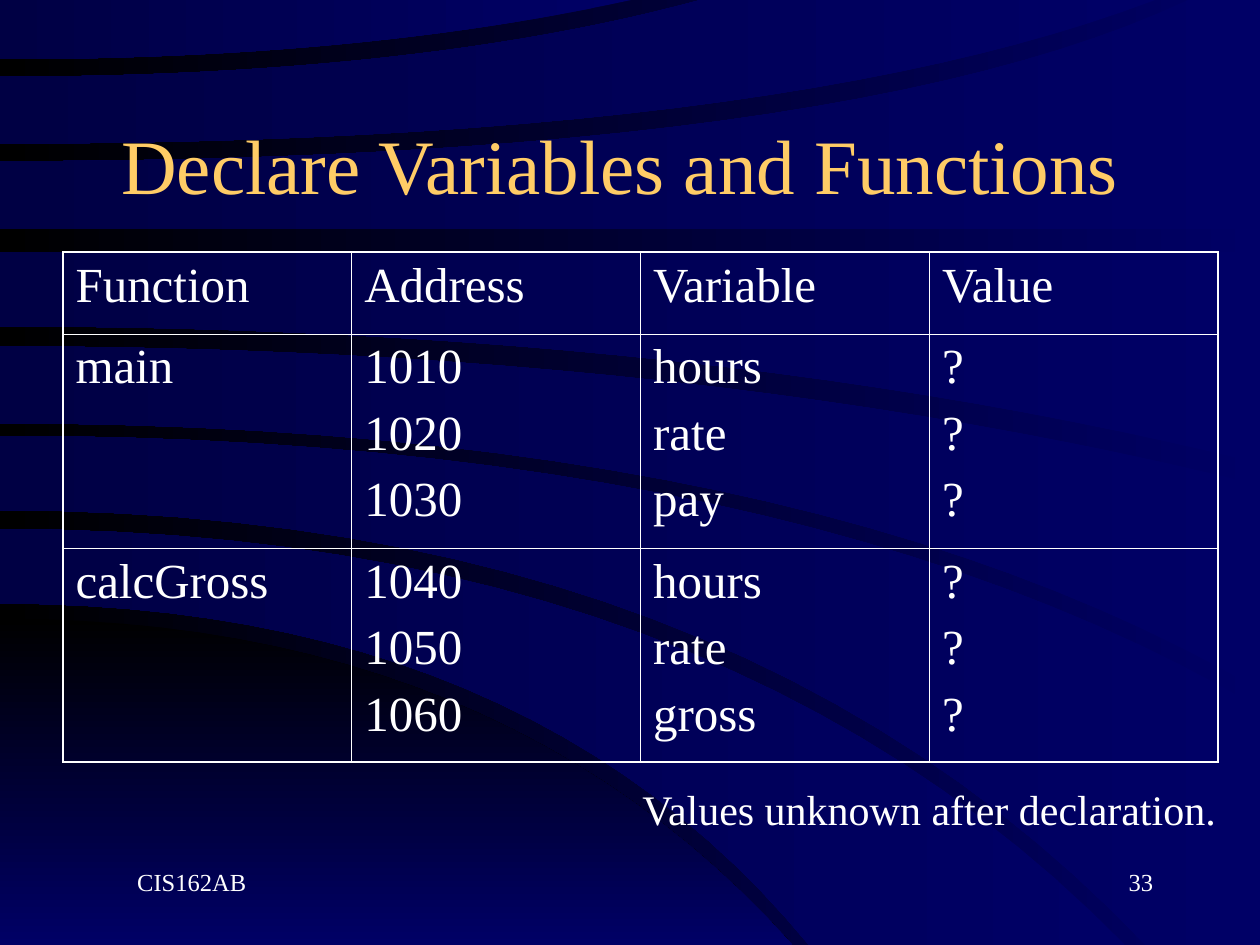
from dataclasses import dataclass

from lxml.etree import SubElement
from pptx import Presentation
from pptx.dml.color import RGBColor
from pptx.enum.text import MSO_ANCHOR, PP_ALIGN
from pptx.oxml.ns import qn
from pptx.util import Inches, Pt


@dataclass(frozen=True)
class Theme:
    """Colours, type sizes and line widths of the slide."""

    font: str = "Times New Roman"
    navy: str = "000066"
    dusk: str = "000044"
    black: str = "000000"
    gold: str = "FFCC66"
    white: str = "FFFFFF"
    title: int = 44
    body: int = 28
    note: int = 24
    footer: int = 14
    outer_line: float = 1.08
    inner_line: float = 0.45


@dataclass(frozen=True)
class Edge:
    """An arc that leaves the left side level, bends at a point and ends."""

    start: float
    bend: float
    end_x: float
    end_y: float

    def points(self, steps=24):
        """Return the points of the quadratic arc."""
        result = []
        for step in range(steps + 1):
            t = step / steps
            x = 2 * t * (1 - t) * self.bend + t * t * self.end_x
            y = self.start + t * t * (self.end_y - self.start)
            result.append((x, y))
        return result


THEME = Theme()

CORNER = (Edge(4.91, 3.98, 6.29, 7.5), Edge(7.5, 3, 6.29, 7.5), [])

BANDS = [
    (Edge(4.2, 5.7, 8.93, 7.5), Edge(4.79, 4.19, 6.42, 7.5), []),
    (Edge(3.46, 6.3, 10, 5.62), Edge(4.05, 5.82, 9.09, 7.5), [(10, 7.5)]),
    (Edge(2.75, 5.54, 10, 3.85), Edge(3.36, 6.38, 10, 5.48), []),
    (Edge(2, 5, 10, 2), Edge(2.59, 5.66, 10, 3.68), []),
    (Edge(1.28, 6.72, 9.43, 0), Edge(1.82, 5, 10, 1.82), [(10, 0)]),
    (Edge(0.61, 3.32, 5.56, 0), Edge(1.14, 6.16, 9.17, 0), []),
    (Edge(0, 2.5, 5.01, 0), Edge(0.47, 2.87, 5.01, 0), []),
]

MEMORY = [
    ["Function", "Address", "Variable", "Value"],
    ["main", "1010\n1020\n1030", "hours\nrate\npay", "?\n?\n?"],
    ["calcGross", "1040\n1050\n1060", "hours\nrate\ngross", "?\n?\n?"],
]


def set_gradient(fill, start, end, angle=180):
    """Fill with two colours along a counter-clockwise angle."""
    fill.gradient()
    fill.gradient_angle = angle
    for stop, colour in zip(fill.gradient_stops, (start, end)):
        stop.color.rgb = RGBColor.from_string(colour)


def add_band(page, outline, start, end, angle=180):
    """Draw the area between two arcs with a gradient fill."""
    upper, lower, corners = outline
    outline_points = upper.points() + corners + lower.points()[::-1]
    first, *others = [(Inches(x), Inches(y)) for x, y in outline_points]
    builder = page.shapes.build_freeform(*first)
    builder.add_line_segments(others, close=True)
    band = builder.convert_to_shape()
    band.shadow.inherit = False
    band.line.fill.background()
    set_gradient(band.fill, start, end, angle)


def write_text(frame, text, size, colour=THEME.white, align=PP_ALIGN.LEFT, before=0):
    """Put text in a frame and format all its paragraphs."""
    frame.text = text
    frame.word_wrap = True
    for para in frame.paragraphs:
        para.alignment = align
        para.space_before = Pt(before)
        for span in para.runs:
            span.font.name = THEME.font
            span.font.size = Pt(size)
            span.font.color.rgb = RGBColor.from_string(colour)


def add_text(page, place, text, size, anchor=MSO_ANCHOR.TOP, indent=0, **style):
    """Add a text box at left, top, width, height."""
    box = page.shapes.add_textbox(*map(Inches, place))
    box.text_frame.vertical_anchor = anchor
    write_text(box.text_frame, text, size, **style)
    if indent:
        properties = box.text_frame.paragraphs[0]._p.get_or_add_pPr()
        properties.set("marL", str(Inches(indent)))
        properties.set("indent", "0")


def set_border(cell, side, width):
    """Draw one white side of a table cell."""
    line = SubElement(cell._tc.get_or_add_tcPr(), qn(f"a:ln{side}"), w=str(Pt(width)))
    fill = SubElement(line, qn("a:solidFill"))
    SubElement(fill, qn("a:srgbClr"), val=THEME.white)


def add_memory_table(page, place, heights, rows):
    """Add an unfilled table with a heavier outer frame."""
    last_row, last_column = len(rows) - 1, len(rows[0]) - 1
    frame = page.shapes.add_table(len(rows), len(rows[0]), *map(Inches, place))
    table = frame.table
    table.first_row = table.horz_banding = False
    for row, height in zip(table.rows, heights):
        row.height = Inches(height)
    for r, texts in enumerate(rows):
        for c, text in enumerate(texts):
            cell = table.cell(r, c)
            write_text(cell.text_frame, text, THEME.body, before=7)
            outer = {"L": c == 0, "R": c == last_column, "T": r == 0, "B": r == last_row}
            for side, on_edge in outer.items():
                set_border(cell, side, THEME.outer_line if on_edge else THEME.inner_line)
            cell.fill.background()


def main():
    """Build the slide and save it."""
    deck = Presentation()
    deck.slide_width, deck.slide_height = Inches(10), Inches(7.5)
    page = deck.slides.add_slide(deck.slide_layouts[6])
    set_gradient(page.background.fill, THEME.navy, THEME.black)
    add_band(page, CORNER, THEME.black, THEME.navy, angle=270)
    for outline in BANDS:
        add_band(page, outline, THEME.navy, THEME.dusk)
    add_text(page, (0.75, 0.67, 8.5, 1.25), "Declare Variables and Functions ", THEME.title,
             anchor=MSO_ANCHOR.MIDDLE, colour=THEME.gold, align=PP_ALIGN.CENTER)
    add_memory_table(page, (0.5, 2, 9.17, 4.04), (0.65, 1.7, 1.7), MEMORY)
    add_text(page, (2.33, 6.17, 7.42, 0.5), "Values unknown after declaration.", THEME.note,
             align=PP_ALIGN.RIGHT, before=15)
    add_text(page, (7.17, 6.83, 2.08, 0.5), "33", THEME.footer, indent=0.24, align=PP_ALIGN.RIGHT)
    add_text(page, (0.75, 6.83, 2.08, 0.5), "CIS162AB", THEME.footer, indent=0.24)
    deck.save("out.pptx")


main()
